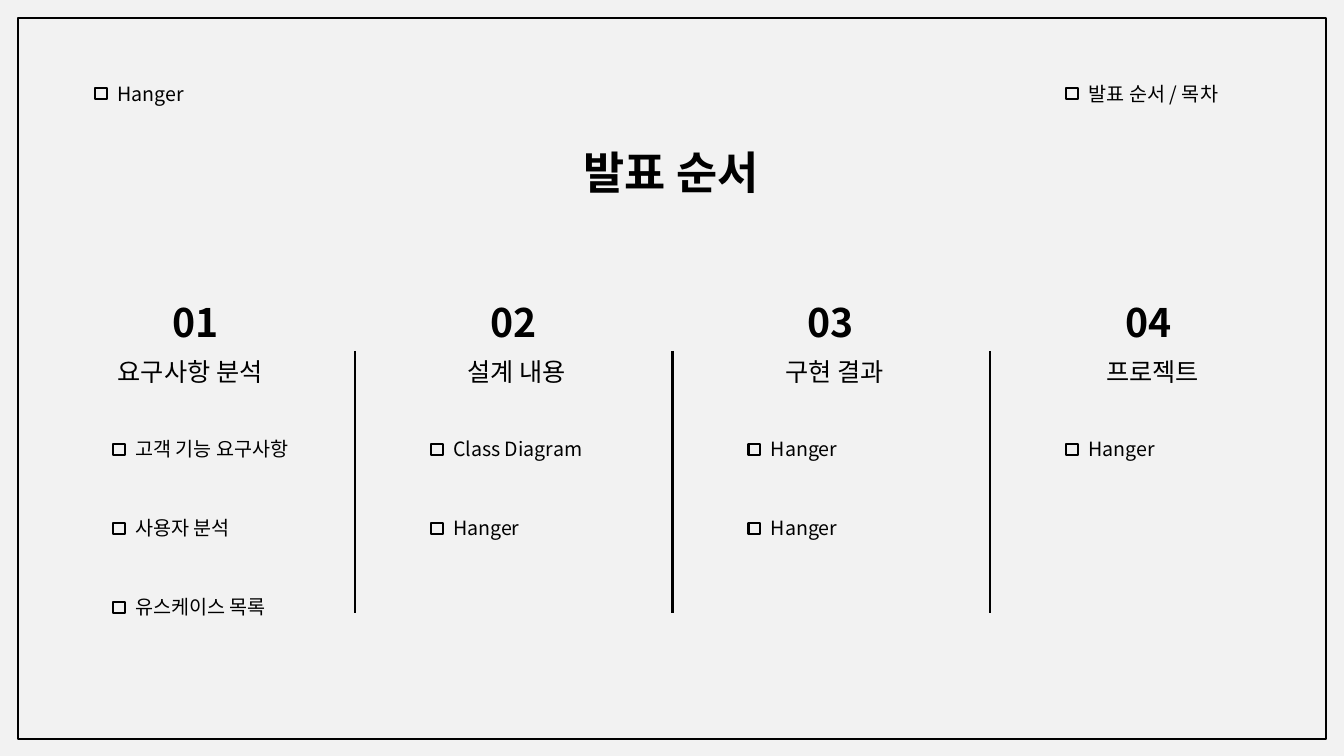
from lxml.etree import SubElement
from pptx import Presentation
from pptx.dml.color import RGBColor
from pptx.enum.shapes import MSO_CONNECTOR as Connector, MSO_SHAPE as Preset
from pptx.enum.text import PP_ALIGN as Align
from pptx.oxml.ns import qn
from pptx.util import Pt

FONT = "Noto Sans CJK KR"
INK = "000000"
PAPER = "F2F2F2"
HEADING = {"size": Pt(32), "bold": True}
NUMBER = {"size": Pt(28), "bold": True}
SUBJECT = {"size": Pt(18), "bold": False}
ITEM = {"size": Pt(14), "bold": False}

COLUMN_PITCH = 227
ITEM_PITCH = 56.4
AGENDA = [
    ("요구사항 분석", Align.LEFT, ["고객 기능 요구사항", "사용자 분석", "유스케이스 목록"]),
    ("설계 내용", Align.CENTER, ["Class Diagram", "Hanger"]),
    ("구현 결과", Align.CENTER, ["Hanger", "Hanger"]),
    ("프로젝트", Align.CENTER, ["Hanger"]),
]


def color(hex_value):
    return RGBColor.from_string(hex_value)


def add_label(slide, words, box, style, align=Align.LEFT):
    label = slide.shapes.add_textbox(*map(Pt, box))
    label.text_frame.word_wrap = True
    paragraph = label.text_frame.paragraphs[0]
    paragraph.alignment = align
    run = paragraph.add_run()
    run.text = words
    run.font.color.rgb = color(INK)
    for name, value in {"name": FONT, **style}.items():
        setattr(run.font, name, value)
    SubElement(run.font._element, qn("a:ea"), typeface=FONT)


def add_outline(slide, preset, box):
    outline = slide.shapes.add_shape(preset, *map(Pt, box))
    outline.shadow.inherit = False
    outline.fill.background()
    outline.line.color.rgb = color(INK)
    outline.line.width = Pt(1.5)


def add_divider(slide, x, top, bottom):
    divider = slide.shapes.add_connector(
        Connector.STRAIGHT, Pt(x), Pt(top), Pt(x), Pt(bottom))
    divider.line.color.rgb = color(INK)
    divider.line.width = Pt(1.5)
    SubElement(divider._element.spPr, qn("a:effectLst"))


def add_item(slide, words, left, top, width):
    add_outline(slide, Preset.RECTANGLE, (left, top + 8, 8.6, 7.9))
    add_label(slide, words, (left + 8.9, top, width, 24.2), ITEM)


def add_header(slide, left, top, width):
    add_item(slide, "Hanger", left, top, 70)
    add_item(slide, "발표 순서 / 목차", left + 694, top, 125)
    add_label(slide, "발표 순서", (left + (width - 197) / 2, top + 45.4, 197, 46),
              HEADING, Align.CENTER)


def add_column(slide, number, subject, align, items, left, top):
    add_label(slide, f"{number:02}", (left + 33, top, 59, 41.2), NUMBER, Align.CENTER)
    add_label(slide, subject, (left, top + 41.2, 130.3, 29.1), SUBJECT, align)
    for row, words in enumerate(items):
        add_item(slide, words, left + 3.6, top + 99.4 + row * ITEM_PITCH, 143)


def add_agenda(slide, left, top):
    for index, (subject, align, items) in enumerate(AGENDA):
        column_left = left + index * COLUMN_PITCH
        add_column(slide, index + 1, subject, align, items, column_left, top)
        if index < len(AGENDA) - 1:
            add_divider(slide, column_left + 176.4, top + 41.2, top + 228.2)


def main():
    deck = Presentation()
    deck.slide_width, deck.slide_height = Pt(960), Pt(540)
    slide = deck.slides.add_slide(deck.slide_layouts[6])
    slide.background.fill.solid()
    slide.background.fill.fore_color.rgb = color(PAPER)
    add_outline(slide, Preset.FLOWCHART_PROCESS, (13, 13, 934, 515))
    add_header(slide, 67.7, 54.7, 823.3)
    add_agenda(slide, 77, 209.5)
    deck.save("out.pptx")


if __name__ == "__main__":
    main()
